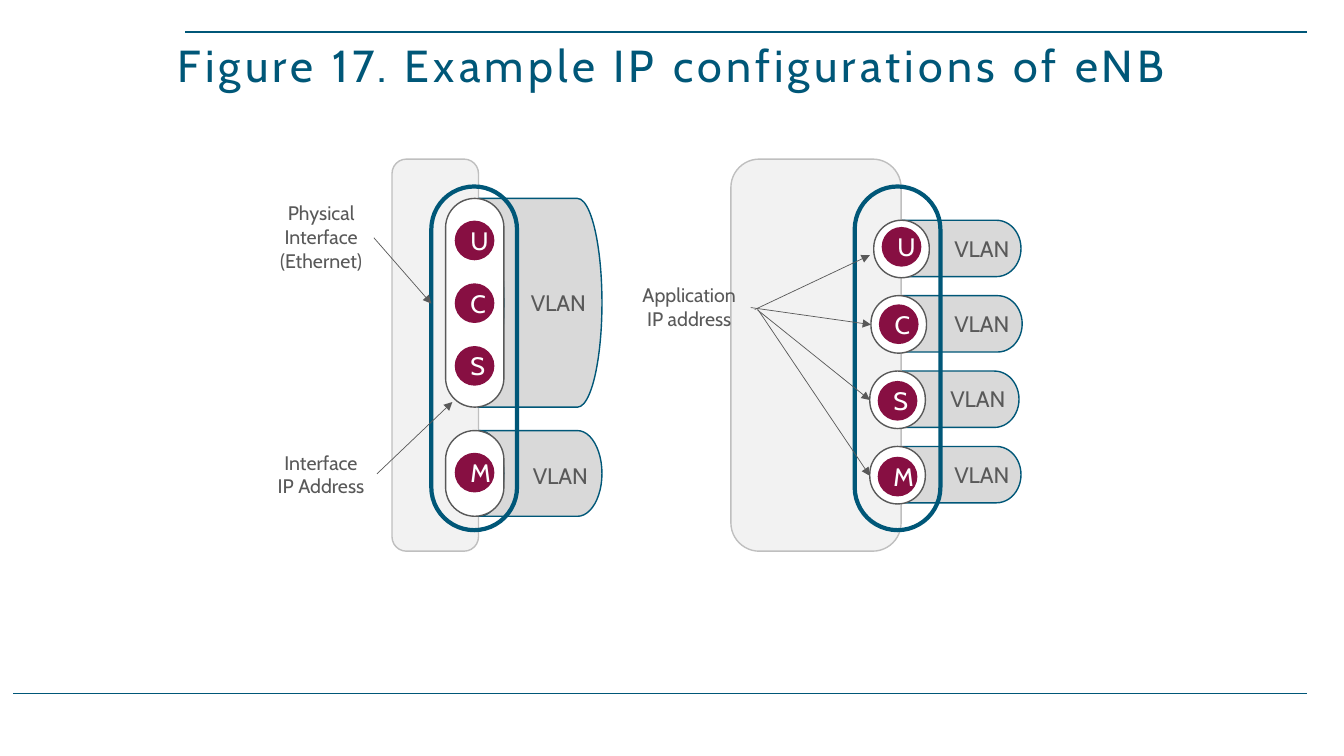
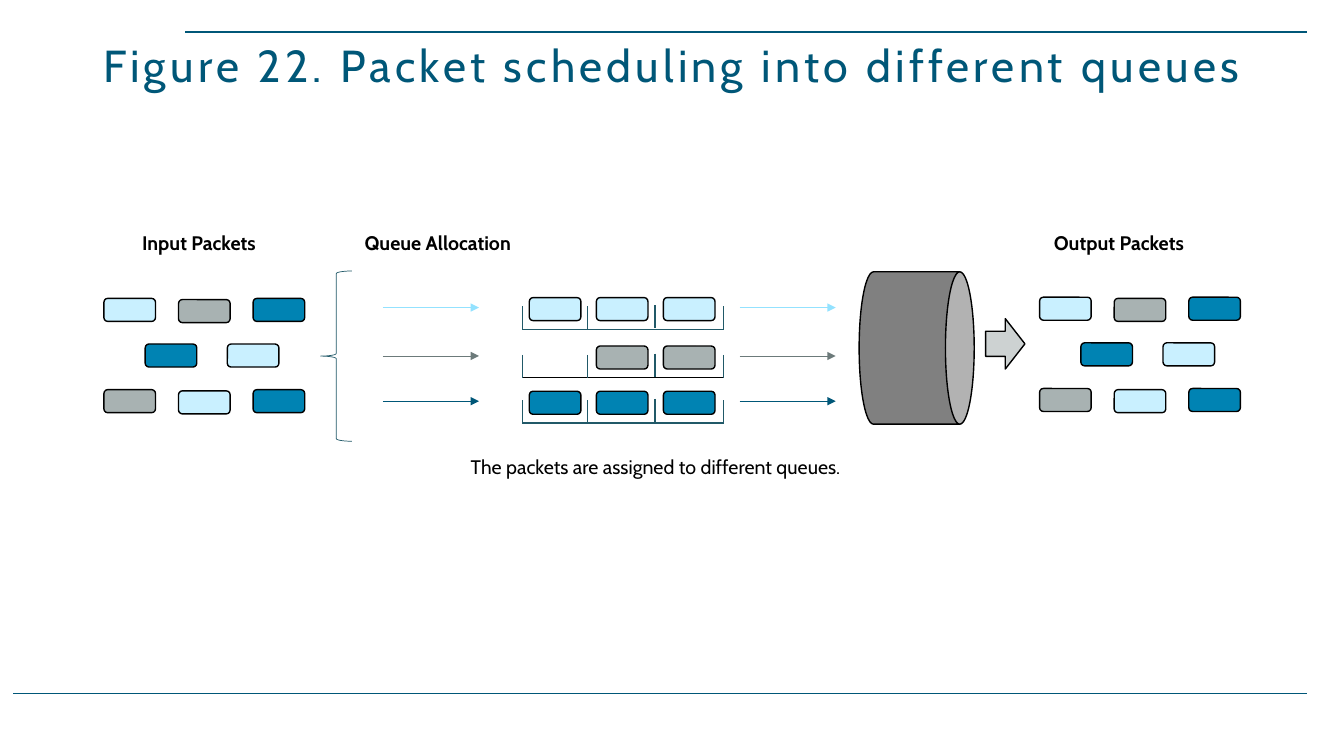
"""Build two network figures: IP configurations and packet scheduling."""
import pptx
import pptx.dml.color
import pptx.enum.shapes
import pptx.enum.text
import pptx.oxml
import pptx.oxml.ns
import pptx.util

Cm = pptx.util.Cm
Pt = pptx.util.Pt
RGB = pptx.dml.color.RGBColor
KIND = pptx.enum.shapes.MSO_SHAPE
LINK = pptx.enum.shapes.MSO_CONNECTOR.STRAIGHT
ALIGN = pptx.enum.text.PP_ALIGN
ANCHOR = pptx.enum.text.MSO_ANCHOR
FIT = pptx.enum.text.MSO_AUTO_SIZE

NAVY = RGB(0x00, 0x57, 0x78)
BLUE = RGB(0x00, 0x83, 0xB3)
SKY = RGB(0x93, 0xE2, 0xFF)
ICE = RGB(0xC9, 0xF0, 0xFF)
TEAL = RGB(0x21, 0x59, 0x68)
WINE = RGB(0x87, 0x0F, 0x42)
BLACK = RGB(0x00, 0x00, 0x00)
WHITE = RGB(0xFF, 0xFF, 0xFF)
INK = RGB(0x59, 0x59, 0x59)
SLATE = RGB(0x6C, 0x7A, 0x7A)
IRON = RGB(0x80, 0x80, 0x80)
STONE = RGB(0xA8, 0xB2, 0xB2)
EDGE = RGB(0xBF, 0xBF, 0xBF)
MIST = RGB(0xCD, 0xD2, 0xD2)
SILVER = RGB(0xD9, 0xD9, 0xD9)
PALE = RGB(0xF2, 0xF2, 0xF2)

WIDE, HIGH = 33.87, 19.05
RULES = [(4.67, 0.81, 32.94, 0.81), (0.33, 17.48, 32.94, 17.48)]
STYLES = {
    "title": ({"name": "Cabin", "size": Pt(32)}, NAVY),
    "dot": ({"name": "Cabin", "size": Pt(18)}, WHITE),
    "vlan": ({"name": "Cabin", "size": Pt(16)}, INK),
    "note": ({"name": "Cabin", "size": Pt(14)}, INK),
    "head": ({"name": "Cabin", "size": Pt(14), "bold": True}, BLACK),
    "plain": ({"name": "Cabin", "size": Pt(14)}, BLACK),
}

TITLES = ["Figure 17. Example IP configurations of eNB",
          "Figure 22. Packet scheduling into different queues"]

BODIES = [(9.88, 4.01, 2.18, 9.88), (18.42, 4.01, 4.29, 9.88)]
RINGS = [(10.87, 4.7, 2.16, 8.66), (21.54, 4.7, 2.16, 8.66)]
GROUPS = [("UCS", 5.0, 5.26, 13.13, 7.16), ("M", 10.85, 2.16, 13.18, 11.51)]
PORTS = [("U", 22.02, 22.02, 5.72, 23.8), ("C", 22.05, 21.95, 7.67, 23.8),
         ("S", 21.97, 21.92, 9.6, 23.7), ("M", 22.02, 21.92, 11.51, 23.8)]
NOTES = [(["Physical", "Interface", "(Ethernet)"], (6.76, 4.95, 2.67, 2.06), False),
         (["Interface", "IP Address"], (6.68, 11.23, 2.82, 1.45), False),
         (["Application IP address"], (15.82, 7.01, 3.1, 1.45), True)]
POINTERS = [(9.42, 5.99, 10.87, 7.65), (9.5, 11.94, 11.4, 10.13),
            (18.92, 7.75, 21.95, 8.18), (19.02, 7.8, 21.92, 6.43),
            (19.08, 7.8, 21.92, 10.08), (19.1, 7.8, 21.92, 11.99)]

HEADS = [("Input Packets", 3.33, 3.68), ("Queue Allocation", 8.94, 4.57),
         ("Output Packets", 26.31, 4.09)]
CAPTION = "The packets are assigned to different queues."
STREAM = [(0, 0, ICE), (1.88, 0.03, STONE), (3.76, 0, BLUE),
          (1.04, 1.15, BLUE), (3.11, 1.15, ICE),
          (0, 2.3, STONE), (1.88, 2.33, ICE), (3.76, 2.3, BLUE)]
STARTS = [(2.62, 7.52), (26.2, 7.49)]
QUEUES = [(7.75, SKY, ICE, TEAL, (0, 1, 2)),
          (8.97, SLATE, STONE, BLACK, (1, 2)),
          (10.11, NAVY, BLUE, TEAL, (0, 1, 2))]
WALLS = [(13.16, 0), (14.81, 0), (16.51, 0.03), (18.24, 0)]
SPANS = [(9.65, 12.07), (18.64, 21.06)]


def assign(thing, values):
    for name, value in values.items():
        setattr(thing, name, value)


def write(frame, lines, style, align=ALIGN.CENTER):
    values, color = STYLES[style]
    for i, line in enumerate(lines):
        para = frame.add_paragraph() if i else frame.paragraphs[0]
        para.alignment = align
        run = para.add_run()
        run.text = line
        assign(run.font, values)
        run.font.color.rgb = color
    return frame


def label(slide, box, lines, style, align=ALIGN.CENTER, wrap=False):
    frame = slide.shapes.add_textbox(*map(Cm, box)).text_frame
    assign(frame, {"word_wrap": wrap, "auto_size": FIT.SHAPE_TO_FIT_TEXT})
    write(frame, lines, style, align)


def shape(slide, kind, box, fill=None, line=None, width=1, turn=0, bend=None):
    item = slide.shapes.add_shape(kind, *map(Cm, box))
    item.shadow.inherit = False
    item.rotation = turn
    if bend is not None:
        item.adjustments[0] = bend
    if fill is None:
        item.fill.background()
    else:
        item.fill.solid()
        item.fill.fore_color.rgb = fill
    if line is None:
        item.line.fill.background()
    else:
        item.line.color.rgb = line
        item.line.width = Pt(width)
    return item


def link(slide, ends, color, width=1, arrow=False):
    item = slide.shapes.add_connector(LINK, *map(Cm, ends))
    item.line.color.rgb = color
    item.line.width = Pt(width)
    if arrow:
        tail = pptx.oxml.parse_xml(
            "<a:tailEnd %s type='triangle'/>" % pptx.oxml.ns.nsdecls("a"))
        item.line._get_or_add_ln().append(tail)
    item._element.spPr.append(
        pptx.oxml.parse_xml("<a:effectLst %s/>" % pptx.oxml.ns.nsdecls("a")))


def start(deck, title):
    slide = deck.slides.add_slide(deck.slide_layouts[6])
    for ends in RULES:
        link(slide, ends, NAVY)
    frame = slide.shapes.add_textbox(*map(Cm, (0, 0.91, WIDE, 1.52))).text_frame
    assign(frame, {"word_wrap": True, "vertical_anchor": ANCHOR.BOTTOM})
    para = write(frame, [title], "title").paragraphs[0]
    para.line_spacing = 0.8
    para.runs[0]._r.get_or_add_rPr().set("spc", "300")
    return slide


def drum(slide, x, y, high):
    shape(slide, KIND.FLOWCHART_DIRECT_ACCESS_STORAGE, (x, y, 3.71, high),
          SILVER, NAVY, turn=180)


def pill(slide, box):
    shape(slide, KIND.ROUNDED_RECTANGLE, box, WHITE, INK, bend=0.5)


def dot(slide, x, y, text):
    item = shape(slide, KIND.OVAL, (x, y, 1, 1), WINE)
    item.text_frame.vertical_anchor = ANCHOR.MIDDLE
    write(item.text_frame, [text], "dot")


def vlan(slide, x, y):
    label(slide, (x, y, 1.96, 0.94), ["VLAN"], "vlan", ALIGN.LEFT)


def packet(slide, x, y, color):
    shape(slide, KIND.ROUNDED_RECTANGLE, (x, y, 1.3, 0.58), color, BLACK)


def config(slide):
    tops = [5.55 + 1.9 * i for i in range(len(PORTS))]
    for port, top in zip(PORTS, tops):
        drum(slide, port[1], top, 1.42)
    for box in BODIES:
        shape(slide, KIND.ROUNDED_RECTANGLE, box, PALE, EDGE)
    for names, top, high, x, y in GROUPS:
        drum(slide, 11.46, top, high)
        pill(slide, (11.23, top, 1.47, high))
        for i, name in enumerate(names):
            dot(slide, 11.46, top + 0.56 + 1.58 * i, name)
        vlan(slide, x, y)
    for (name, _, left, mark, x), top in zip(PORTS, tops):
        pill(slide, (left, top, 1.4, 1.45))
        dot(slide, left + 0.2, mark, name)
        vlan(slide, x, top + 0.24)
    for box in RINGS:
        shape(slide, KIND.ROUNDED_RECTANGLE, box, None, NAVY, 3, bend=0.5)
    for lines, box, wrap in NOTES:
        label(slide, box, lines, "note", wrap=wrap)
    for ends in POINTERS:
        link(slide, ends, INK, 0.5, True)


def schedule(slide):
    for text, x, wide in HEADS:
        label(slide, (x, 5.69, wide, 0.86), [text], "head", ALIGN.LEFT)
    for left, top in STARTS:
        for x, y, color in STREAM:
            packet(slide, left + x, top + y, color)
    shape(slide, KIND.LEFT_BRACE, (8.08, 6.83, 0.79, 4.29), None, TEAL, 0.5)
    for y, tint, fill, floor, slots in QUEUES:
        for x, end in SPANS:
            link(slide, (x, y, end, y), tint, 0.5, True)
        for slot in slots:
            packet(slide, 13.34 + 1.69 * slot, y - 0.25, fill)
        base = y + 0.55
        link(slide, (WALLS[0][0], base, WALLS[-1][0], base), floor)
        for x, lift in WALLS:
            link(slide, (x, base - 0.58 - lift, x, base - lift), TEAL)
    shape(slide, KIND.CAN, (21.18, 7.32, 3.84, 2.9), IRON, BLACK, turn=90)
    shape(slide, KIND.RIGHT_ARROW, (24.84, 8.03, 0.99, 1.27), MIST, BLACK)
    label(slide, (10.16, 11.33, 12.73, 0.86), [CAPTION], "plain", wrap=True)


def main():
    deck = pptx.Presentation()
    assign(deck, {"slide_width": Cm(WIDE), "slide_height": Cm(HIGH)})
    for title, draw in zip(TITLES, (config, schedule)):
        draw(start(deck, title))
    deck.save("out.pptx")


if __name__ == "__main__":
    main()
